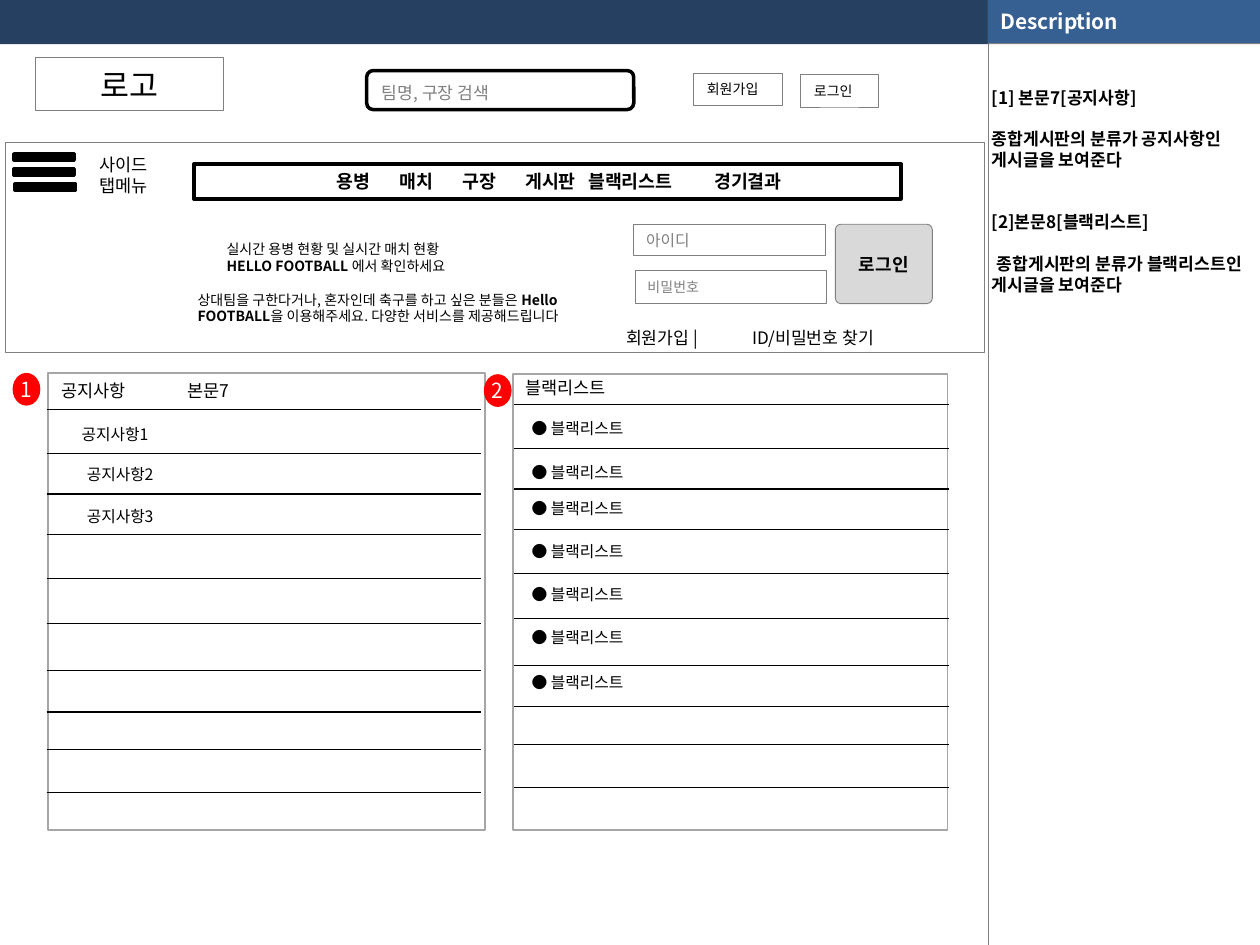
from dataclasses import dataclass
from typing import Any

from lxml import etree
from pptx import Presentation
from pptx import util as u
from pptx.dml.color import RGBColor
from pptx.enum import shapes, text
from pptx.oxml import ns

BLACK = RGBColor(0x00, 0x00, 0x00)
WHITE = RGBColor(0xFF, 0xFF, 0xFF)
NAVY = RGBColor(0x25, 0x40, 0x61)
BLUE = RGBColor(0x37, 0x60, 0x92)
GRAY = RGBColor(0x80, 0x80, 0x80)
DIVIDER = RGBColor(0x7F, 0x7F, 0x7F)
FRAME = RGBColor(0xA6, 0xA6, 0xA6)
BUTTON = RGBColor(0xD9, 0xD9, 0xD9)
RED = RGBColor(0xFF, 0x00, 0x00)

RECT = shapes.MSO_SHAPE.RECTANGLE
ROUND = shapes.MSO_SHAPE.ROUNDED_RECTANGLE
OVAL = shapes.MSO_SHAPE.OVAL
LEFT, CENTER = text.PP_ALIGN.LEFT, text.PP_ALIGN.CENTER
TOP, MIDDLE = text.MSO_ANCHOR.TOP, text.MSO_ANCHOR.MIDDLE
INSETS = (1, 0.5, 1, 0.5)


@dataclass
class Wireframe:
    """Draws wireframe elements on a page measured in 100 columns by 75 rows."""

    deck: Any
    page: Any
    font: str = "Noto Sans CJK KR"

    def cols(self, count):
        return round(self.deck.slide_width * count / 100)

    def rows(self, count):
        return round(self.deck.slide_height * count / 75)

    def area(self, left, top, width, height):
        return self.cols(left), self.rows(top), self.cols(width), self.rows(height)

    def span(self, para, words, size, color=BLACK, bold=False):
        span = para.add_run()
        span.text = words
        span.font.size = u.Pt(size)
        span.font.bold = bold
        span.font.name = self.font
        span.font.color.rgb = color
        etree.SubElement(span.font._element, ns.qn("a:ea"), typeface=self.font)

    def frame(self, shape, anchor=TOP, insets=INSETS, wrap=True):
        frame = shape.text_frame
        frame.word_wrap = wrap
        frame.auto_size = text.MSO_AUTO_SIZE.NONE
        frame.vertical_anchor = anchor
        frame.margin_left, frame.margin_right = map(self.cols, insets[::2])
        frame.margin_top, frame.margin_bottom = map(self.rows, insets[1::2])
        return frame

    def para(self, frame, spans, size, color=BLACK, bold=False, align=LEFT,
             before=0, indent=0, first=0, tabs=()):
        para = frame.paragraphs[0]
        if para.runs:
            para = frame.add_paragraph()
        para.alignment = align
        para.space_before = u.Pt(before)
        props = para._p.get_or_add_pPr()
        props.set("marL", str(self.cols(indent)))
        props.set("indent", str(self.cols(first)))
        if tabs:
            stops = etree.SubElement(props, ns.qn("a:tabLst"))
            for stop in tabs:
                etree.SubElement(stops, ns.qn("a:tab"), pos=str(self.cols(stop)), algn="l")
        for words, strong in [(spans, bold)] if isinstance(spans, str) else spans:
            self.span(para, words, size, color, strong)
        return para

    def title(self, area, words, size, fill, color):
        title = self.page.shapes.title
        title.left, title.top, title.width, title.height = self.area(*area)
        title.fill.solid()
        title.fill.fore_color.rgb = fill
        self.para(self.frame(title, MIDDLE), words, size, color, True)
        title.element.getparent().append(title.element)

    def shape(self, kind, area, fill=None, line=None, weight=0.5, radius=None):
        shape = self.page.shapes.add_shape(kind, *self.area(*area))
        shape.shadow.inherit = False
        if radius is not None:
            shape.adjustments[0] = radius
        if fill is None:
            shape.fill.background()
        else:
            shape.fill.solid()
            shape.fill.fore_color.rgb = fill
        if line is None:
            shape.line.fill.background()
        else:
            shape.line.color.rgb = line
            shape.line.width = u.Pt(weight)
        return shape

    def field(self, area, words, size, color=BLACK, insets=INSETS, align=LEFT, line=GRAY):
        shape = self.shape(RECT, area, WHITE, line)
        self.para(self.frame(shape, MIDDLE, insets), words, size, color, align=align)

    def box(self, area, insets=INSETS):
        return self.frame(self.page.shapes.add_textbox(*self.area(*area)), insets=insets)

    def label(self, area, words, size, **style):
        return self.para(self.box(area), words, size, **style)

    def line(self, start, end, color=BLACK, weight=0.75):
        line = self.page.shapes.add_connector(
            shapes.MSO_CONNECTOR.STRAIGHT, self.cols(start[0]), self.rows(start[1]),
            self.cols(end[0]), self.rows(end[1]))
        line.line.color.rgb = color
        line.line.width = u.Pt(weight)
        etree.SubElement(line._element.spPr, ns.qn("a:effectLst"))

    def badge(self, left, top, number):
        shape = self.shape(OVAL, (left, top, 2.2, 2.6), RED)
        self.para(self.frame(shape, MIDDLE, (0, 0, 0, 0), False), number, 11.9, WHITE,
                  align=CENTER)

    def board(self, area, rules_left, rules, heading, heading_area, items, tabs=()):
        self.shape(RECT, area, line=FRAME, weight=1)
        for top in rules:
            self.line((rules_left, top), (rules_left + 34.5, top))
        self.label(heading_area, heading, 10, tabs=tabs)
        for left, top, words in items:
            self.label((left, top, 23.1, 2.5), words, 9)


def draw_chrome(draw):
    draw.shape(RECT, (0, 0, 78.4, 3.5), NAVY)
    draw.shape(RECT, (78.4, 0, 21.6, 3.5), GRAY)
    draw.line((78.4, 0), (78.4, 3.5), WHITE, 0.25)
    draw.line((78.4, 3.4), (78.4, 75), DIVIDER, 0.25)
    draw.title((78.4, 0, 21.6, 3.4), "Description", 11.9, BLUE, WHITE)


def draw_header(draw):
    inner = (1.1, 0.6, 1.1, 0.6)
    draw.shape(RECT, (0.4, 11.3, 77.7, 16.7), WHITE, GRAY)
    draw.shape(ROUND, (29.1, 5.6, 21.2, 3.1), WHITE, BLACK, 2)
    draw.field((29.8, 6.4, 11.9, 1.9), "팀명, 구장 검색", 9.8, GRAY, (0.5,) * 4, line=WHITE)
    draw.field((55, 5.8, 7.1, 2.6), "회원가입", 8, insets=inner)
    draw.field((63.5, 5.9, 6.2, 2.6), "로그인", 8, insets=inner)
    draw.field((2.8, 4.6, 14.9, 4.2), "로고", 18, insets=inner, align=CENTER)


def draw_main_panel(draw):
    for left, top in ((1.1, 12.2), (1.1, 13.4), (1.2, 14.6)):
        draw.shape(RECT, (left, top, 4.8, 0.5), BLACK, BLACK, 2)
    draw.label((6.9, 11.7, 7.6, 4.4), "사이드 탭메뉴", 10)

    menu = draw.shape(RECT, (15.4, 13, 56.1, 2.8), WHITE, BLACK, 2)
    draw.para(draw.frame(menu, MIDDLE, (11.3, 0.5, 1, 0.5)),
              "용병\t매치\t구장\t게시판\t블랙리스트\t경기결과", 10.5, bold=True,
              tabs=(4.7, 9.4, 14.1, 20.1, 28))

    intro = draw.box((14.7, 18.6, 36, 7.9))
    draw.para(intro, "실시간 용병 현황 및 실시간 매치 현황", 8, indent=2.3)
    draw.para(intro, [("HELLO FOOTBALL", True), (" 에서 확인하세요", False)], 8, indent=2.3)
    draw.para(intro, [("상대팀을 구한다거나, 혼자인데 축구를 하고 싶은 분들은 ", False),
                      ("Hello FOOTBALL", True),
                      ("을 이용해주세요. 다양한 서비스를 제공해드립니다", False)], 8, before=9.7)

    draw.field((50.3, 17.8, 15.2, 2.5), "아이디", 9, GRAY)
    draw.field((50.4, 21.5, 15.2, 2.6), "비밀번호", 8, GRAY)
    login = draw.shape(ROUND, (66.3, 17.8, 7.7, 6.3), BUTTON, GRAY, radius=0.07)
    draw.para(draw.frame(login, MIDDLE), "로그인", 10.3, bold=True, align=CENTER)
    links = draw.label((48.7, 24.7, 24.9, 3.2), "회원가입 |\tID/비밀번호 찾기", 9.8, tabs=(6.65,))
    links.line_spacing = 1.5


def draw_boards(draw):
    rules = (32.1, 35.6, 38.8, 42, 45.5, 49.1, 52.8, 56.1, 59.1, 62.5)
    notices = zip((5.5, 5.9, 5.9), (33.2, 36.4, 39.7), ("공지사항1", "공지사항2", "공지사항3"))
    draw.board((3.8, 29.6, 34.7, 36.3), 3.7, [top + 0.4 for top in rules],
               "공지사항\t본문7", (3.9, 29.7, 34.5, 2.7), notices, (23.3,))
    blacklist = [(41.2, top, "● 블랙리스트")
                 for top in (32.7, 36.2, 39.1, 42.5, 45.9, 49.3, 52.9)]
    draw.board((40.7, 29.7, 34.5, 36.2), 40.8, rules,
               "블랙리스트", (40.7, 29.4, 34.5, 2.7), blacklist)
    draw.badge(1, 29.6, "1")
    draw.badge(38.4, 29.7, "2")


def draw_description(draw):
    notes = draw.box((78.3, 6.9, 21.7, 68.1), (0.4, 0, 0.4, 0))
    for words, before, first in (
            ("[1] 본문7[공지사항]", 0, 0),
            ("종합게시판의 분류가 공지사항인 게시글을 보여준다", 12, 0),
            ("[2]본문8[블랙리스트]", 24, 0),
            ("종합게시판의 분류가 블랙리스트인 게시글을 보여준다", 12, 0.4)):
        draw.para(notes, words, 9.8, bold=True, before=before, first=first)


def main():
    deck = Presentation()
    deck.slide_width, deck.slide_height = u.Inches(10), u.Inches(7.5)
    draw = Wireframe(deck, deck.slides.add_slide(deck.slide_layouts[5]))
    draw_chrome(draw)
    draw_header(draw)
    draw_main_panel(draw)
    draw_boards(draw)
    draw_description(draw)
    deck.save("out.pptx")


if __name__ == "__main__":
    main()
